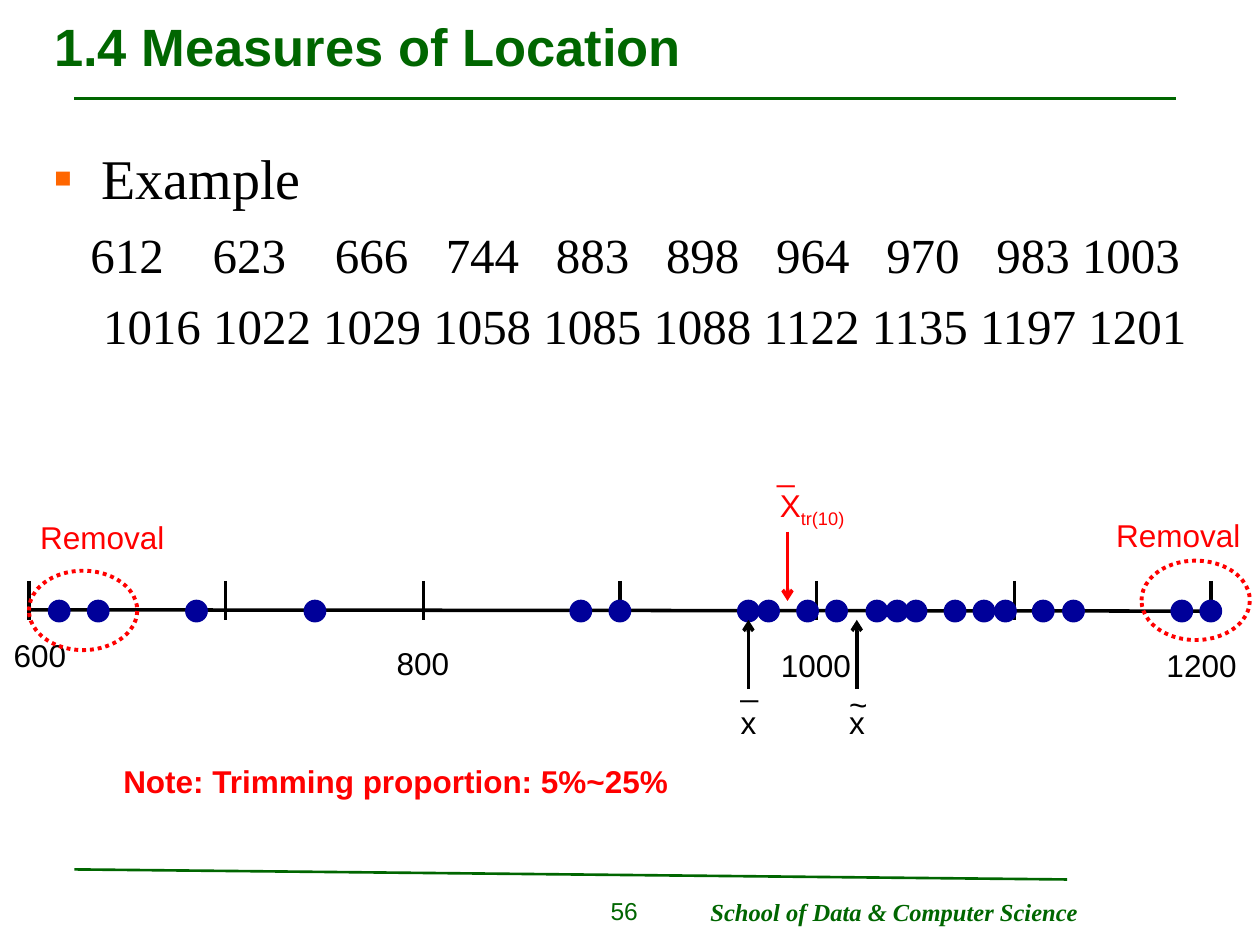
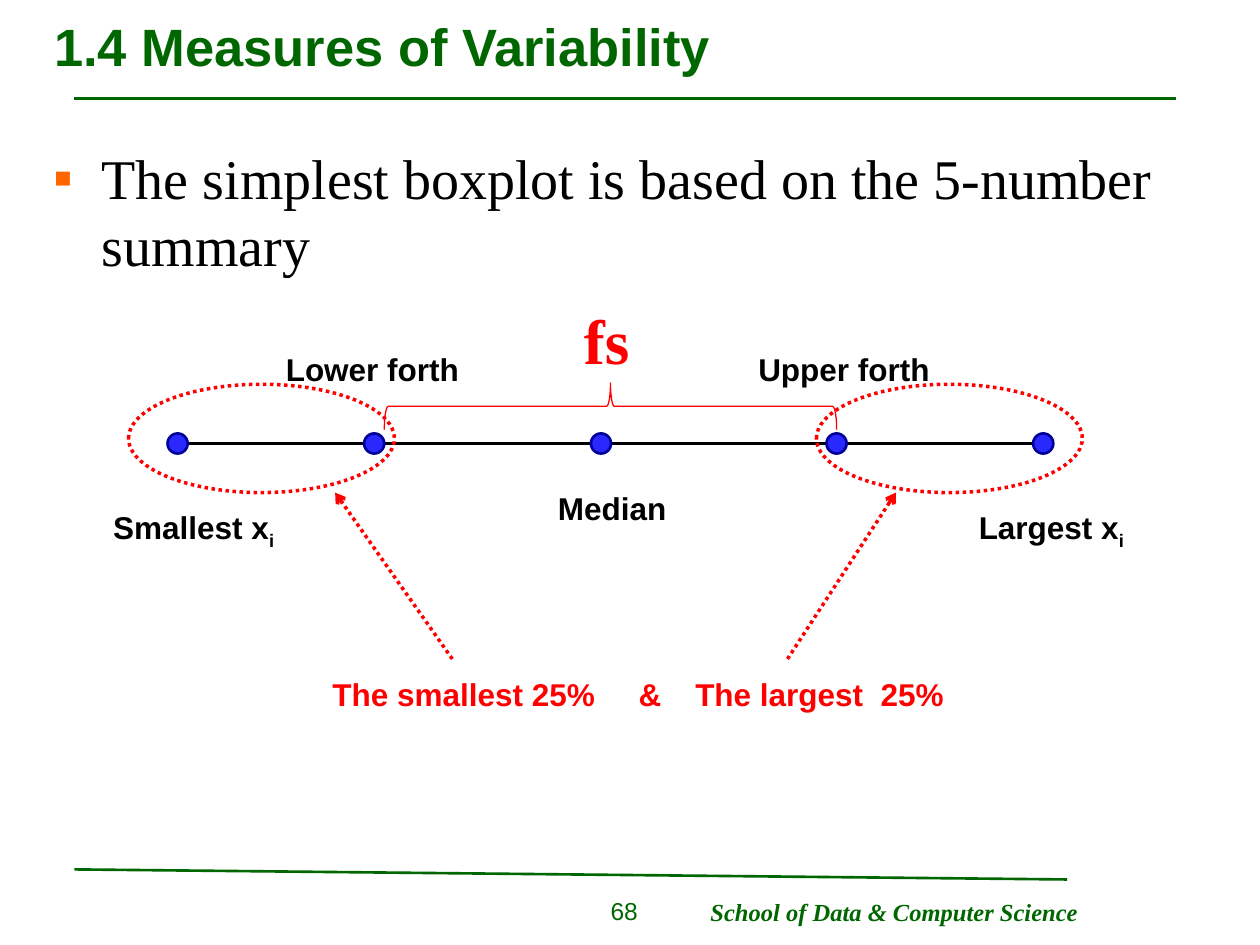
from lxml.etree import SubElement
from pptx import Presentation
from pptx.dml.color import RGBColor
from pptx.enum.dml import MSO_LINE
from pptx.enum.shapes import MSO_CONNECTOR, MSO_SHAPE
from pptx.enum.text import MSO_ANCHOR, MSO_AUTO_SIZE, PP_ALIGN
from pptx.oxml.ns import qn
from pptx.util import Emu, Pt

SCALE = 9144  # EMU in one px, 100 px to the inch
GREEN = RGBColor(0x00, 0x66, 0x00)
ORANGE = RGBColor(0xFF, 0x66, 0x00)
RED = RGBColor(0xFF, 0x00, 0x00)
BLACK = RGBColor(0x00, 0x00, 0x00)
NAVY = RGBColor(0x00, 0x00, 0x99)
BLUE = RGBColor(0x29, 0x29, 0xFF)
SANS, SERIF = "Arial", "Times New Roman"
DOT = 16
SLACK = 8  # spare width that keeps a label on one line


def px(length):
    return Emu(round(length * SCALE))


class Slides:
    """Shared style plus the page being drawn."""

    def __init__(self):
        self.deck = Presentation()
        self.deck.slide_width, self.deck.slide_height = px(1000), px(750)
        self.page = None

    def new_page(self, title, number):
        self.page = self.deck.slides.add_slide(self.deck.slide_layouts[5])
        heading = self.page.shapes.title
        heading.left, heading.top = px(33), px(2)
        heading.width, heading.height = px(934), px(68)
        frame = heading.text_frame
        frame.text = title
        frame.auto_size = MSO_AUTO_SIZE.NONE
        frame.vertical_anchor = MSO_ANCHOR.MIDDLE
        frame.paragraphs[0].alignment = PP_ALIGN.LEFT
        self.style(frame.paragraphs[0], 30, GREEN, bold=True)
        # Rules and footer
        self.line((59, 78), (933, 78), GREEN, 1.5)
        self.line((59, 690), (847, 698), GREEN, 1.5)
        self.label("School of Data & Computer Science", 554, 707, 312, 34, GREEN, 14,
                   font=SERIF, bold=True, italic=True)
        self.label(number, 414, 706, 102, 36, GREEN, 14, align=PP_ALIGN.RIGHT)

    def style(self, para, size, color, font=SANS, bold=False, italic=False):
        for span in para.runs:
            span.font.size, span.font.name = Pt(size), font
            span.font.bold, span.font.italic = bold, italic
            span.font.color.rgb = color

    def tabs(self, para, stops):
        tab_list = SubElement(para._p.get_or_add_pPr(), qn("a:tabLst"))
        for stop in stops:
            SubElement(tab_list, qn("a:tab"), pos=str(px(stop)), algn="l")

    def label(self, text, left, top, width, height=40, color=BLACK, size=18, sub="",
              align=PP_ALIGN.LEFT, stops=(), **look):
        slack = SLACK if align == PP_ALIGN.LEFT else 0
        box = self.page.shapes.add_textbox(px(left), px(top), px(width + slack), px(height))
        frame = box.text_frame
        frame.text = text
        frame.word_wrap = True
        para = frame.paragraphs[0]
        para.alignment = align
        if stops:
            self.tabs(para, stops)
        if sub:
            span = para.add_run()
            span.text = sub
            span.font._element.set("baseline", "-25000")
        self.style(para, size, color, **look)

    def body(self, bullet_text, rows=()):
        """A bulleted line, then rows of (tabbed text, tab stops)."""
        box = self.page.shapes.add_textbox(px(33), px(109), px(934), px(578))
        frame = box.text_frame
        frame.word_wrap = True
        frame.text = bullet_text
        para = frame.paragraphs[0]
        para.space_after = Pt(1)
        props = para._p.get_or_add_pPr()
        props.set("marL", str(px(38)))
        props.set("indent", str(px(-38)))
        bullet_color = SubElement(props, qn("a:buClr"))
        SubElement(bullet_color, qn("a:srgbClr"), val=str(ORANGE))
        SubElement(props, qn("a:buFont"), typeface=SANS)
        SubElement(props, qn("a:buChar"), char="▪")
        self.style(para, 32, BLACK, SERIF)
        for text, stops in rows:
            para = frame.add_paragraph()
            para.text = text
            para.space_before = Pt(7)
            self.tabs(para, stops)
            self.style(para, 28, BLACK, SERIF)

    def line(self, start, end, color=BLACK, weight=2, arrow=False, dotted=False):
        link = self.page.shapes.add_connector(
            MSO_CONNECTOR.STRAIGHT, *[px(value) for value in (*start, *end)])
        link.line.color.rgb, link.line.width = color, Pt(weight)
        if dotted:
            link.line.dash_style = MSO_LINE.ROUND_DOT
        if arrow:
            SubElement(link.line._get_or_add_ln(), qn("a:tailEnd"), type="arrow")
        SubElement(link._element.spPr, qn("a:effectLst"))

    def shape(self, kind, left, top, width, height, color, weight, fill=None):
        item = self.page.shapes.add_shape(kind, px(left), px(top), px(width), px(height))
        item.shadow.inherit = False
        item.line.color.rgb, item.line.width = color, Pt(weight)
        if fill is None:
            item.fill.background()
        else:
            item.fill.solid()
            item.fill.fore_color.rgb = fill
        return item

    def dots(self, lefts, top, fill):
        for left in lefts:
            self.shape(MSO_SHAPE.OVAL, left, top, DOT, DOT, NAVY, 1.5, fill)

    def ring(self, left, top, width, height, weight):
        ring = self.shape(MSO_SHAPE.OVAL, left, top, width, height, RED, weight)
        ring.line.dash_style = MSO_LINE.ROUND_DOT


def location_page(slides):
    slides.new_page("1.4 Measures of Location", "56")
    stops = [29, 126, 223] + [311 + 87.4 * step for step in range(6)]
    slides.body("Example", [
        ("\t612\t623\t666\t744\t883\t898\t964\t970\t983 1003", stops),
        ("\t1016 1022 1029 1058 1085 1088 1122 1135 1197 1201", [39]),
    ])

    # Number line
    slides.line((23, 484), (961, 485))
    for tick in range(7):
        x = round(23 + tick * 938 / 6)
        slides.line((x, 461), (x, 492))
    slides.dots([39, 70, 148, 242, 453, 484, 586, 602, 633, 656, 688, 704, 719,
                 750, 773, 790, 820, 844, 930, 953], 477, NAVY)
    for text, left, top, width in [("600", 1, 500, 61), ("800", 305, 506, 61),
                                   ("1000", 610, 508, 75), ("1200", 916, 508, 75)]:
        slides.label(text, left, top, width)

    # Mean, median and trimmed mean
    for x, mark, mark_top in [(594, "_", 523), (680, "~", 539)]:
        slides.line((x, 547), (x, 492), arrow=True)
        slides.label("x", x - 16, 553, 32)
        slides.label(mark, x - 16, mark_top, 34)
    slides.line((625, 422), (625, 477), RED, arrow=True)
    slides.label("X", 609, 381, 71, 44, RED, sub="tr(10)")
    slides.label("_", 607, 352, 34, color=RED)

    # Removed ends
    for ring_left, ring_top, text_left, text_top in [(23, 453, 22, 406),
                                                     (906, 445, 876, 405)]:
        slides.ring(ring_left, ring_top, 86, 63, 2.25)
        slides.label("Removal", text_left, text_top, 125, color=RED)
    slides.label("Note: Trimming proportion: 5%~25%", 88, 600, 461, color=RED, bold=True)


def variability_page(slides):
    slides.new_page("1.4 Measures of Variability", "68")
    slides.body("The simplest boxplot is based on the 5-number summary")

    # Five-number line
    slides.line((141, 352), (828, 352))
    slides.dots([133, 289, 469, 656, 820], 344, BLUE)
    for text, sub, left, top, width in [
            ("Smallest x", "i", 80, 398, 147), ("Largest x", "i", 767, 398, 135),
            ("Median", "", 433, 383, 106), ("Lower forth", "", 217, 273, 157),
            ("Upper forth", "", 592, 273, 156)]:
        slides.label(text, left, top, width, 44 if sub else 40, sub=sub, bold=True)

    # Outer quarters
    for ring_left, start, end in [(102, 359, 266), (648, 625, 711)]:
        slides.ring(ring_left, 305, 211, 86, 2)
        slides.line((start, 523), (end, 391), RED, arrow=True, dotted=True)
    slides.label("The smallest 25%\t&\tThe largest  25%", 254, 531, 506, color=RED,
                 bold=True, stops=(243, 288))

    # Fourth spread
    slides.label("fs", 416, 234, 131, 70, RED, 36, align=PP_ALIGN.CENTER,
                 font=SERIF, bold=True)
    brace = slides.shape(MSO_SHAPE.RIGHT_BRACE, 466, 143, 37, 359, RED, 0.75)
    brace.rotation = 270


def main():
    slides = Slides()
    location_page(slides)
    variability_page(slides)
    slides.deck.save("out.pptx")


if __name__ == "__main__":
    main()
